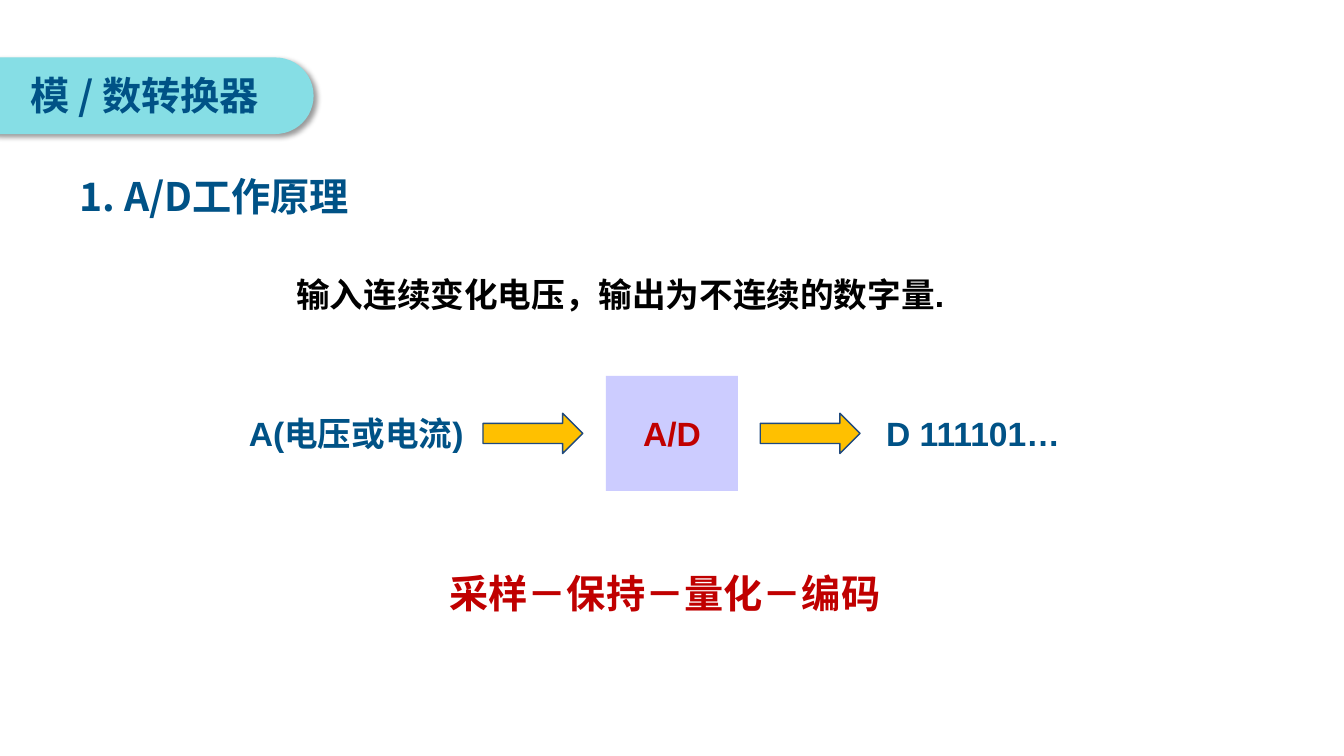
from lxml import etree
from pptx import Presentation
from pptx.dml.color import RGBColor
from pptx.enum.shapes import MSO_SHAPE
from pptx.enum.text import MSO_ANCHOR, PP_ALIGN
from pptx.oxml import parse_xml
from pptx.oxml.ns import qn
from pptx.util import Inches, Pt

RECT, ROUND, ARROW = (MSO_SHAPE.RECTANGLE, MSO_SHAPE.ROUNDED_RECTANGLE,
                      MSO_SHAPE.RIGHT_ARROW)
MIDDLE, CENTER = MSO_ANCHOR.MIDDLE, PP_ALIGN.CENTER
LATIN, CJK = "Arial", "Noto Sans CJK SC"
BLUE, RED, BLACK = "005286", "C00000", "000000"
NS = "http://schemas.openxmlformats.org/drawingml/2006/main"

WIDTH, HEIGHT = 13.33, 7.5
FLOW_Y = 4.3          # centre line of the signal flow
CHIP = (6.01, 1.31, 1.14)        # left, width, height
ARROW_SIZE = (0.99, 0.4)
ARROW_LEFTS = (4.79, 7.54)
BANNER = (-0.38, 0.57, 3.49, 0.76)

# text, (left, top, width, height), size, font, colour, outlined
TEXTS = [
    ("模 / 数转换器", (0.2, 0.66, 8.31, 0.57), 28, CJK, BLUE, False),
    ("1. A/D工作原理", (0.69, 1.66, 7.42, 0.57), 28, CJK, BLUE, False),
    ("输入连续变化电压，输出为不连续的数字量.", (2.84, 2.67, 7.73, 1), 24, LATIN, BLACK, False),
    ("A(电压或电流)", (2.37, FLOW_Y - 0.25, 2.73, 0.5), 24, LATIN, BLUE, True),
    ("D 111101…", (8.69, FLOW_Y - 0.25, 2.25, 0.5), 24, LATIN, BLUE, True),
    ("采样－保持－量化－编码", (4.36, 5.6, 4.65, 0.57), 28, CJK, RED, False),
]


def color(value):
    return RGBColor.from_string(value)


def write(tf, text, size, font, ink, outlined=False):
    r = tf.paragraphs[0].add_run()
    r.text = text
    for name, value in {"size": Pt(size), "bold": True, "name": font}.items():
        setattr(r.font, name, value)
    r.font.color.rgb = color(ink)
    rpr = r.font._element
    etree.SubElement(rpr, qn("a:ea")).set("typeface", CJK)
    if outlined:
        rpr.insert(0, parse_xml(
            f'<a:ln xmlns:a="{NS}" w="{Pt(0.75)}"><a:solidFill>'
            f'<a:srgbClr val="{ink}"/></a:solidFill></a:ln>'))


def add_block(slide, kind, box, fill, line=None):
    s = slide.shapes.add_shape(kind, *map(Inches, box))
    s.shadow.inherit = False
    s.fill.solid()
    s.fill.fore_color.rgb = color(fill)
    if line:
        s.line.color.rgb = color(line)
        s.line.width = Pt(1)
    else:
        s.line.fill.background()
    return s


def cast_shadow(shape):
    """Soft shadow down and to the right, at 40% strength."""
    effects = shape._element.spPr.find(qn("a:effectLst"))
    effects.append(parse_xml(
        f'<a:outerShdw xmlns:a="{NS}" blurRad="{Pt(4)}" dist="{Pt(3)}" '
        f'dir="{45 * 60000}" algn="tl" rotWithShape="0"><a:srgbClr val="{BLACK}">'
        '<a:alpha val="40000"/></a:srgbClr></a:outerShdw>'))


def main():
    prs = Presentation()
    prs.slide_width, prs.slide_height = Inches(WIDTH), Inches(HEIGHT)
    slide = prs.slides.add_slide(prs.slide_layouts[6])

    banner = add_block(slide, ROUND, BANNER, "86DEE5")
    banner.adjustments[0] = 0.5
    cast_shadow(banner)

    left, width, height = CHIP
    chip = add_block(slide, RECT, (left, FLOW_Y - height / 2, width, height), "CCCCFF")
    tf = chip.text_frame
    tf.word_wrap = False
    tf.vertical_anchor = MIDDLE
    tf.paragraphs[0].alignment = CENTER
    write(tf, "A/D", 24, LATIN, RED)

    for text, box, *style in TEXTS:
        tf = slide.shapes.add_textbox(*map(Inches, box)).text_frame
        tf.word_wrap = True
        write(tf, text, *style)

    width, height = ARROW_SIZE
    for left in ARROW_LEFTS:
        add_block(slide, ARROW, (left, FLOW_Y - height / 2, width, height),
                  "FFC000", "1F497D")

    prs.save("out.pptx")


if __name__ == "__main__":
    main()
